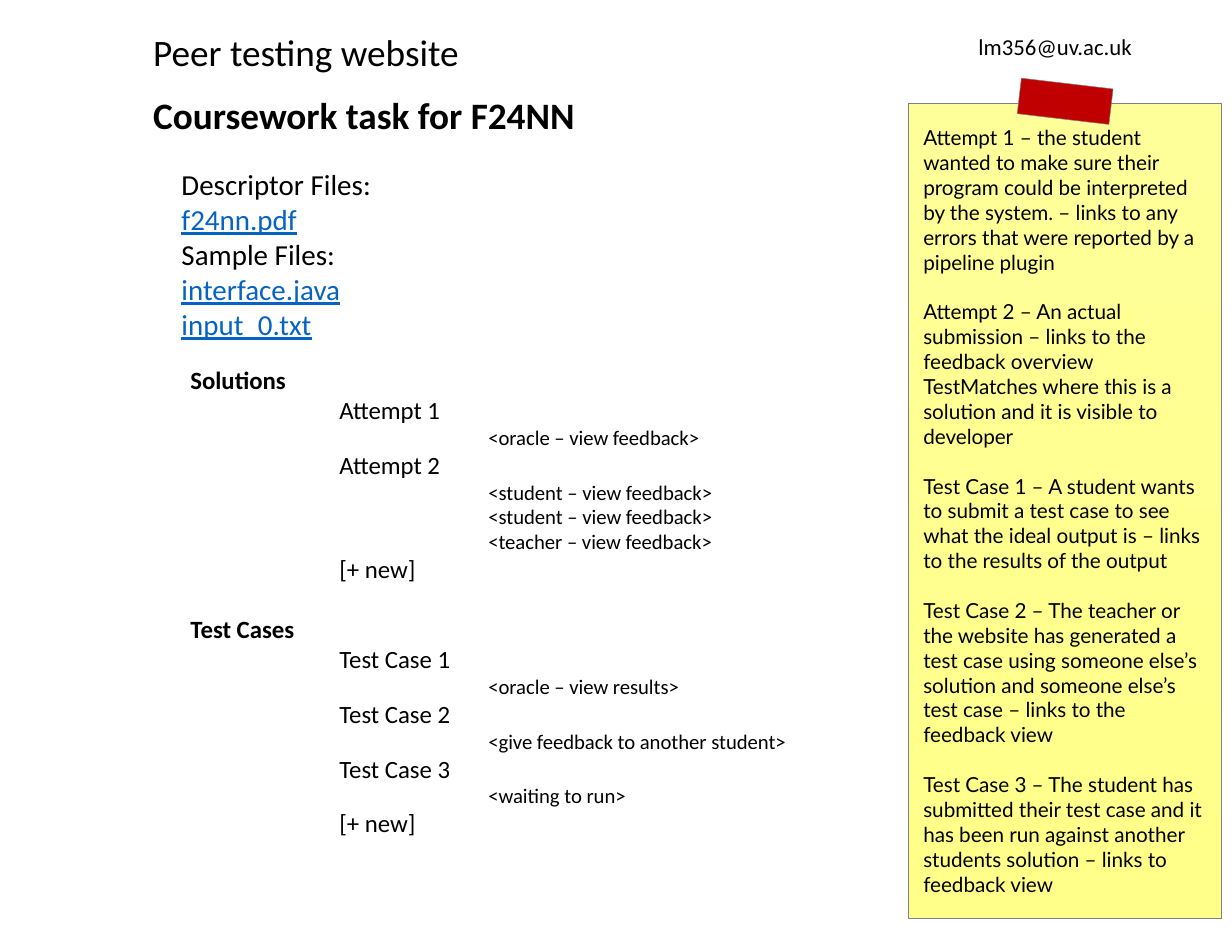
from dataclasses import dataclass

from pptx import Presentation
from pptx.dml.color import RGBColor
from pptx.enum import shapes, text
from pptx.util import Inches, Pt


@dataclass(frozen=True)
class Theme:
    body_font: str = "Calibri"
    note_font: str = "Lato"
    ink: str = "000000"
    link: str = "0563C1"
    outline: str = "808080"
    tape: str = "C00000"
    note_top: str = "FFFF99"
    note_bottom: str = "FFFF89"
    title: int = 18
    files: int = 14
    item: int = 12
    email: int = 11
    detail: int = 10


THEME = Theme()

# Content
TITLE = "Peer testing website"
TASK = "Coursework task for F24NN"
EMAIL = "lm356@uv.ac.uk"
FILES = [
    ("Descriptor Files:", ["f24nn.pdf"]),
    ("Sample Files:", ["interface.java", "input_0.txt"]),
]
SECTIONS = [
    ("Solutions", [
        ("Attempt 1", ["<oracle – view feedback>"]),
        ("Attempt 2", ["<student – view feedback>",
                       "<student – view feedback>",
                       "<teacher – view feedback>"]),
        ("[+ new]", []),
    ]),
    ("Test Cases", [
        ("Test Case 1", ["<oracle – view results>"]),
        ("Test Case 2", ["<give feedback to another student>"]),
        ("Test Case 3", ["<waiting to run>"]),
        ("[+ new]", []),
    ]),
]
NOTES = [
    "Attempt 1 – the student wanted to make sure their program could be "
    "interpreted by the system. – links to any errors that were reported by "
    "a pipeline plugin",
    "Attempt 2 – An actual submission – links to the feedback overview "
    "TestMatches where this is a solution and it is visible to developer",
    "Test Case 1 – A student wants to submit a test case to see what the "
    "ideal output is – links to the results of the output",
    "Test Case 2 – The teacher or the website has generated a test case using "
    "someone else’s solution and someone else’s test case – links to the "
    "feedback view",
    "Test Case 3 – The student has submitted their test case and it has been "
    "run against another students solution – links to feedback view",
]
INDENT = Inches(1)
SECTION_GAP = 14.65
NOTE_GAP = 12


def line(words, size, font=THEME.body_font, color=THEME.ink, bold=False,
         underline=False, level=0, gap=0):
    return dict(words=words, size=size, font=font, color=color, bold=bold,
                underline=underline, level=level, gap=gap)


def write(frame, lines):
    frame.word_wrap = True
    for index, entry in enumerate(lines):
        paragraph = frame.paragraphs[0] if index == 0 else frame.add_paragraph()
        paragraph.text = entry["words"]
        paragraph.alignment = text.PP_ALIGN.LEFT
        paragraph.space_before = Pt(entry["gap"])
        if entry["level"]:
            properties = paragraph._p.get_or_add_pPr()
            properties.set("marL", str(entry["level"] * INDENT))
            properties.set("indent", "0")
        font = paragraph.runs[0].font
        font.name = entry["font"]
        font.size = Pt(entry["size"])
        font.bold = entry["bold"]
        font.underline = entry["underline"]
        font.color.rgb = RGBColor.from_string(entry["color"])


def add_text(slide, left, top, width, height, lines):
    box = slide.shapes.add_textbox(*map(Inches, (left, top, width, height)))
    write(box.text_frame, lines)


def add_rectangle(slide, left, top, width, height):
    shape = slide.shapes.add_shape(
        shapes.MSO_SHAPE.RECTANGLE, *map(Inches, (left, top, width, height)))
    shape.shadow.inherit = False
    shape.line.color.rgb = RGBColor.from_string(THEME.outline)
    shape.line.width = Pt(0.25)
    return shape


def file_lines():
    for heading, names in FILES:
        yield line(heading, THEME.files)
        for name in names:
            yield line(name, THEME.files, color=THEME.link, underline=True)


def section_lines():
    for index, (heading, items) in enumerate(SECTIONS):
        yield line(heading, THEME.item, bold=True,
                   gap=SECTION_GAP if index else 0)
        for item, details in items:
            yield line(item, THEME.item, level=1)
            for detail in details:
                yield line(detail, THEME.detail, level=2)


def main():
    presentation = Presentation()
    presentation.slide_width = Inches(8.27)
    presentation.slide_height = Inches(6.3)
    slide = presentation.slides.add_slide(presentation.slide_layouts[6])

    # Page text
    add_text(slide, 0.93, 0.57, 4.81, 0.4,
             [line(TASK, THEME.title, bold=True)])
    add_text(slide, 0.93, 0.15, 5.17, 0.4, [line(TITLE, THEME.title)])
    add_text(slide, 6.47, 0.17, 1.7, 0.3, [line(EMAIL, THEME.email)])
    add_text(slide, 1.12, 1.07, 4.9, 1.28, file_lines())
    add_text(slide, 1.18, 2.4, 4.9, 3.42, section_lines())

    # Sticky note
    note = add_rectangle(slide, 6.1, 0.69, 2.1, 5.47)
    note.fill.gradient()
    note.fill.gradient_angle = 270
    for stop, color in zip(note.fill.gradient_stops,
                           (THEME.note_top, THEME.note_bottom)):
        stop.color.rgb = RGBColor.from_string(color)
    frame = note.text_frame
    frame.vertical_anchor = text.MSO_ANCHOR.TOP
    frame.margin_top = Inches(0.15)
    write(frame, [line(words, THEME.detail, font=THEME.note_font,
                       gap=NOTE_GAP if index else 0)
                  for index, words in enumerate(NOTES)])

    # Tape
    tape = add_rectangle(slide, 6.84, 0.56, 0.62, 0.24)
    tape.fill.solid()
    tape.fill.fore_color.rgb = RGBColor.from_string(THEME.tape)
    tape.rotation = 6.7

    presentation.save("out.pptx")


if __name__ == "__main__":
    main()
